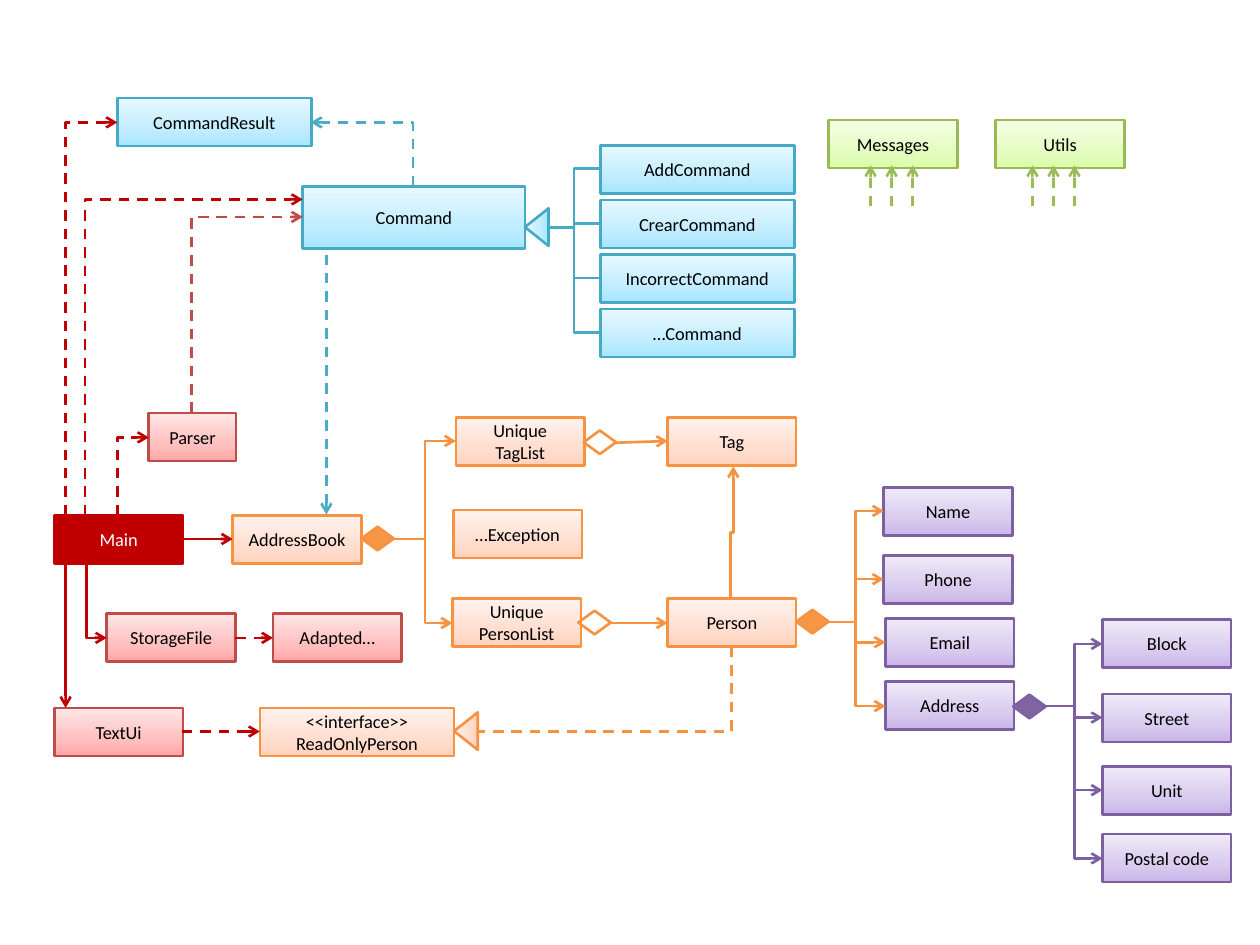
from copy import deepcopy

from lxml import etree
from pptx import Presentation
from pptx.dml.color import RGBColor
from pptx.enum.dml import MSO_LINE
from pptx.enum.shapes import MSO_CONNECTOR, MSO_SHAPE
from pptx.enum.text import MSO_ANCHOR, PP_ALIGN
from pptx.oxml.ns import qn
from pptx.util import Pt

RECTANGLE = MSO_SHAPE.RECTANGLE
DIAMOND = MSO_SHAPE.FLOWCHART_DECISION
TRIANGLE = MSO_SHAPE.ISOSCELES_TRIANGLE
STRAIGHT, ELBOW = MSO_CONNECTOR.STRAIGHT, MSO_CONNECTOR.ELBOW
DASH = MSO_LINE.DASH
CENTER, MIDDLE = PP_ALIGN.CENTER, MSO_ANCHOR.MIDDLE

BOX_WIDTH, BOX_HEIGHT, WIDE = 73.5, 27.5, 111
LINE_WIDTH = Pt(1.5)
RED, ROSE, ORANGE, BLUE = "C00000", "BF4C48", "F69240", "46AAC5"
AQUA, GREEN, LEAF, PURPLE = "4BACC6", "98B955", "9BBB59", "7D60A0"

# Gradient colours, bottom to top, for each outline colour
GRADIENTS = {
    ROSE: ("FFA6A5", "FFC0BF", "FFE7E7"),
    ORANGE: ("FFD2BD", "FFDED0", "FFF2ED"),
    BLUE: ("A7E6FF", "C1EDFF", "E7F8FF"),
    GREEN: ("DAFDA7", "E4FCC2", "F5FFE7"),
    PURPLE: ("C9B5E8", "D8CBEE", "F0EAF9"),
}
STOPS = (0, 0.35, 1)

# Class boxes: text, left, top, then width and height where not standard
CLASSES = {
    ROSE: [("TextUi", 31, 404.5), ("Parser", 85, 236, 50),
           ("StorageFile", 61, 350.5), ("Adapted…", 156, 350.5)],
    RED: [("Main", 31, 294.5)],
    ORANGE: [("AddressBook", 133, 294.5), ("Unique\vTagList", 260.5, 238.5),
             ("…Exception", 259, 291.5), ("Unique\vPersonList", 258.5, 342),
             ("Person", 381.5, 342), ("Tag", 381.5, 238.5),
             ("<<interface>>\nReadOnlyPerson", 148.5, 404.5, WIDE)],
    BLUE: [("Command", 173, 106.5, 127, 35.5), ("CommandResult", 67, 56, WIDE)],
    GREEN: [("Messages", 473.5, 68.5), ("Utils", 569, 68.5)],
    PURPLE: [("Name", 505, 278.5), ("Phone", 505, 317.5), ("Email", 506, 353.5),
             ("Address", 506, 389.5), ("Block", 630, 354), ("Street", 630, 396.5),
             ("Unit", 630, 438), ("Postal code", 630, 476.5)],
}
COMMANDS = ("AddCommand", "CrearCommand", "IncorrectCommand", "…Command")
COMMAND_TOP, COMMAND_STEP = 83, 31.2

# Diamonds: left, top, outline, fill
DIAMONDS = [
    (455, 348.5, ORANGE, "F79646"), (206.5, 301, ORANGE, "F79646"),
    (333.5, 246, ORANGE, None), (330.5, 349, ORANGE, None),
    (579, 397, PURPLE, "8064A2"),
]
TRIANGLES = [(296, 123, BLUE), (255.5, 411, ORANGE)]

# Fans: start, trunk x, ends, colour, arrowhead
FANS = [
    ((225, 308), 243, [(260.5, 252), (258.5, 356)], ORANGE, True),
    ((474, 355.5), 489,
     [(505, 292), (505, 331), (506, 367), (506, 403.5)], ORANGE, True),
    ((597.5, 403.5), 614,
     [(630, 368), (630, 410), (630, 451.5), (630, 490.5)], PURPLE, True),
    ((313.5, 130), 328, [(343, 96.5 + COMMAND_STEP * i) for i in range(4)],
     BLUE, False),
]

# Corners that leave vertically: start, end, colour, dashed, arrowhead
CORNERS = [
    ((67, 294.5), (85, 250), RED, True, True),
    ((49.5, 322.5), (61, 364.5), RED, False, True),
    ((418, 369.5), (273, 418), ORANGE, True, False),
    ((109.5, 236), (173, 124), ROSE, True, True),
    ((48.5, 294.5), (173, 114), RED, True, True),
    ((236, 106.5), (177.5, 70), AQUA, True, True),
    ((37.5, 294.5), (67, 70), RED, True, True),
]

# Straight arrows: start, end, colour, dashed
ARROWS = [
    ((37.5, 322), (37.5, 404.5), RED, False),
    ((352, 253), (381.5, 252), ORANGE, False),
    ((349, 356), (381.5, 356), ORANGE, False),
    ((104, 308), (133, 308), RED, False),
    ((104, 418), (148.5, 418), RED, True),
    ((134.5, 364.5), (156, 364.5), RED, True),
    ((186.5, 145.5), (186.5, 294), AQUA, True),
]
UTILITY_ARROWS = [left + 12 * i for left in (497.5, 590) for i in range(3)]


def color(value):
    return RGBColor.from_string(value)


def set_values(target, values):
    for name, value in values.items():
        setattr(target, name, value)


def fill_gradient(shape, colors):
    shape.fill.gradient()
    shape.fill.gradient_angle = 90
    stop_list = shape._element.spPr.find(".//" + qn("a:gsLst"))
    stop_list.append(deepcopy(stop_list[0]))
    for stop, position, value in zip(shape.fill.gradient_stops, STOPS, colors):
        stop.position = position
        stop.color.rgb = color(value)


def add_figure(slide, kind, left, top, width, height, outline, fill=None):
    """Add an outlined shape; fill is a hex string, a gradient or None."""
    shape = slide.shapes.add_shape(kind, Pt(left), Pt(top), Pt(width), Pt(height))
    shape.shadow.inherit = False
    shape.line.color.rgb = color(outline)
    shape.line.width = LINE_WIDTH
    if fill is None:
        shape.fill.background()
    elif isinstance(fill, str):
        shape.fill.solid()
        shape.fill.fore_color.rgb = color(fill)
    else:
        fill_gradient(shape, fill)
    return shape


def add_class(slide, outline, text, left, top, width=BOX_WIDTH, height=BOX_HEIGHT):
    fill = GRADIENTS.get(outline, outline)
    shape = add_figure(slide, RECTANGLE, left, top, width, height, outline, fill)
    frame = shape.text_frame
    set_values(frame, {"text": text, "word_wrap": True, "vertical_anchor": MIDDLE})
    for paragraph in frame.paragraphs:
        paragraph.alignment = CENTER
        for run in paragraph.runs:
            set_values(run.font, {"name": "Calibri", "size": Pt(10.5)})
            run.font.color.rgb = color("FFFFFF" if outline == RED else "000000")


def add_line(slide, start, end, line_color, dashed=False, arrow=True, kind=STRAIGHT):
    connector = slide.shapes.add_connector(kind, *map(Pt, start + end))
    connector.line.color.rgb = color(line_color)
    connector.line.width = LINE_WIDTH
    if dashed:
        connector.line.dash_style = DASH
    properties = connector._element.spPr
    if arrow:
        line = properties.find(qn("a:ln"))
        etree.SubElement(line, qn("a:tailEnd"), type="arrow")
    etree.SubElement(properties, qn("a:effectLst"))
    return connector


def add_branch(slide, start, end, trunk, line_color, arrow):
    """Horizontal, vertical, horizontal, turning at the trunk."""
    connector = add_line(slide, start, end, line_color, False, arrow, ELBOW)
    share = round((trunk - start[0]) / (end[0] - start[0]) * 100000)
    values = connector._element.spPr.find(".//" + qn("a:avLst"))
    etree.SubElement(values, qn("a:gd"), name="adj1", fmla=f"val {share}")


def add_vertical_elbow(slide, start, end, line_color, dashed, arrow,
                       preset="bentConnector2"):
    """An elbow that leaves vertically: a quarter turn about its centre."""
    (x1, y1), (x2, y2) = start, end
    center_x, center_y = (x1 + x2) / 2, (y1 + y2) / 2
    half_width = abs(y2 - y1) / 2 * (1 if x2 > x1 else -1)
    half_height = abs(x2 - x1) / 2 * (1 if y2 > y1 else -1)
    connector = add_line(
        slide, (center_x + half_width, center_y - half_height),
        (center_x - half_width, center_y + half_height),
        line_color, dashed, arrow, ELBOW)
    properties = connector._element.spPr
    turn = 90 if (x2 > x1) == (y2 < y1) else 270
    properties.find(qn("a:xfrm")).set("rot", str(turn * 60000))
    properties.find(qn("a:prstGeom")).set("prst", preset)


def main():
    presentation = Presentation()
    set_values(presentation, {"slide_width": Pt(720), "slide_height": Pt(540)})
    slide = presentation.slides.add_slide(presentation.slide_layouts[6])

    # Class boxes
    for outline, boxes in CLASSES.items():
        for box in boxes:
            add_class(slide, outline, *box)
    for i, name in enumerate(COMMANDS):
        add_class(slide, BLUE, name, 343, COMMAND_TOP + COMMAND_STEP * i, WIDE)

    # Relations
    for start, trunk, ends, line_color, arrow in FANS:
        for end in ends:
            add_branch(slide, start, end, trunk, line_color, arrow)
    for corner in CORNERS:
        add_vertical_elbow(slide, *corner)
    add_vertical_elbow(slide, (417.5, 342), (419, 266.5), ORANGE, False, True,
                       "bentConnector3")
    for arrow in ARROWS:
        add_line(slide, *arrow)
    for x in UTILITY_ARROWS:
        add_line(slide, (x, 118), (x, 94.5), LEAF, True)

    # Aggregation and inheritance symbols
    for left, top, outline, fill in DIAMONDS:
        add_figure(slide, DIAMOND, left, top, 18.5, 13.5, outline, fill)
    for left, top, outline in TRIANGLES:
        triangle = add_figure(slide, TRIANGLE, left, top, 21.5, 13.5, outline,
                              GRADIENTS[outline])
        triangle.rotation = 270

    presentation.save("out.pptx")


main()
